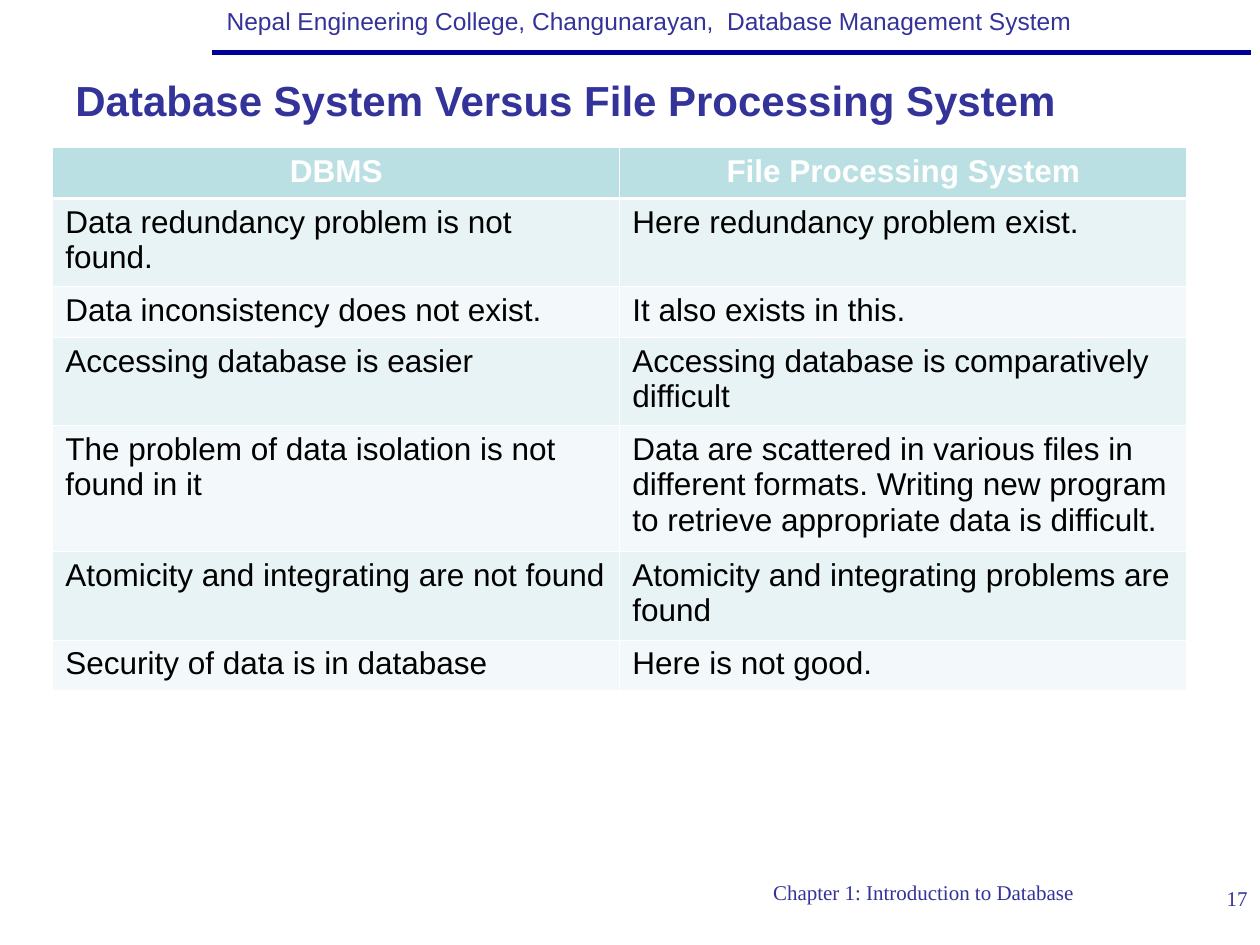
from dataclasses import dataclass

from lxml.etree import SubElement
from pptx import Presentation
from pptx.dml.color import RGBColor
from pptx.enum.text import MSO_ANCHOR, PP_ALIGN
from pptx.oxml.ns import qn
from pptx.util import Pt


@dataclass(frozen=True)
class Theme:
    sans: str = "Arial"
    serif: str = "Times New Roman"
    ink: str = "333399"
    rule: str = "000099"
    white: str = "FFFFFF"
    black: str = "000000"
    head_fill: str = "BBE0E3"
    bands: tuple = ("E7F3F4", "F3F9FA")
    title: int = 24
    body: int = 18
    header: int = 14
    footer: int = 12
    grid: float = 0.45
    head_line: float = 1.47


def write(tf, text, size, color, font, bold=False, align=PP_ALIGN.LEFT):
    p = tf.paragraphs[0]
    p.alignment = align
    r = p.add_run()
    r.text = text
    r.font.name = font
    r.font.size = Pt(size)
    r.font.bold = bold
    r.font.color.rgb = RGBColor.from_string(color)


class Deck:
    def __init__(self, prs, theme):
        self.theme = theme
        self.s = prs.slides.add_slide(prs.slide_layouts[6])

    def text(self, x, y, w, h, text, wrap=True, top=3.6, **fmt):
        tf = self.s.shapes.add_textbox(Pt(x), Pt(y), Pt(w), Pt(h)).text_frame
        tf.word_wrap = wrap
        tf.vertical_anchor = MSO_ANCHOR.TOP
        tf.margin_top = Pt(top)
        write(tf, text, **fmt)

    def line(self, x1, y1, x2, y2, color, width):
        c = self.s.shapes.add_connector(1, Pt(x1), Pt(y1), Pt(x2), Pt(y2))
        c.line.color.rgb = RGBColor.from_string(color)
        c.line.width = Pt(width)
        SubElement(c._element.spPr, qn("a:effectLst"))

    def borders(self, cell, **widths):
        tcPr = cell._tc.get_or_add_tcPr()
        for i, side in enumerate("LRTB"):
            width = widths.get(side, self.theme.grid)
            ln = SubElement(tcPr, qn(f"a:ln{side}"), w=str(Pt(width)))
            fill = SubElement(ln, qn("a:solidFill"))
            SubElement(fill, qn("a:srgbClr"), val=self.theme.white)
            tcPr.remove(ln)
            tcPr.insert(i, ln)

    def table(self, x, y, col_widths, row_heights, rows):
        t = self.theme
        table = self.s.shapes.add_table(
            len(rows), len(col_widths), Pt(x), Pt(y),
            Pt(sum(col_widths)), Pt(sum(row_heights))).table
        for col, width in zip(table.columns, col_widths):
            col.width = Pt(width)
        for i, (row, height, texts) in enumerate(zip(table.rows, row_heights, rows)):
            row.height = Pt(height)
            head = i == 0
            fill = t.head_fill if head else t.bands[(i - 1) % 2]
            heavy = {0: {"B": t.head_line}, 1: {"T": t.head_line}}.get(i, {})
            for cell, text in zip(row.cells, texts):
                cell.fill.solid()
                cell.fill.fore_color.rgb = RGBColor.from_string(fill)
                self.borders(cell, **heavy)
                write(cell.text_frame, text, t.body,
                      t.white if head else t.black, t.sans, bold=head,
                      align=PP_ALIGN.CENTER if head else PP_ALIGN.LEFT)


COMPARISON = [
    ("DBMS", "File Processing System"),
    ("Data redundancy problem is not found.", "Here redundancy problem exist."),
    ("Data inconsistency does not exist.", "It also exists in this."),
    ("Accessing database is easier",
     "Accessing database is comparatively difficult"),
    ("The problem of data isolation is not found in it",
     "Data are scattered in various files in different formats. "
     "Writing new program to retrieve appropriate data is difficult."),
    ("Atomicity and integrating are not found",
     "Atomicity and integrating problems are found"),
    ("Security of data is in database", "Here is not good."),
]


def main():
    prs = Presentation()
    prs.slide_width, prs.slide_height = Pt(720), Pt(540)
    t = Theme()
    deck = Deck(prs, t)

    # Running header and rule
    deck.line(121, 30, 715, 30, t.rule, 3)
    deck.text(122.4, 0, 497.5, 24.5,
              "Nepal Engineering College, Changunarayan,  Database Management System",
              wrap=False, size=t.header, color=t.ink, font=t.sans)

    # Footer and slide number
    deck.text(378, 499, 299.5, 36, "Chapter 1: Introduction to Database",
              wrap=False, size=t.footer, color=t.ink, font=t.serif,
              align=PP_ALIGN.CENTER)
    deck.text(678, 502.5, 42, 36, "17", size=t.footer, color=t.ink,
              font=t.serif, align=PP_ALIGN.RIGHT)

    # Comparison table: row height follows the number of text lines
    heights = {1: 29, 2: 50.4, 3: 72}
    deck.table(30.2, 84.4, [324, 324],
               [heights[n] for n in (1, 2, 1, 2, 3, 2, 1)], COMPARISON)

    # Title
    deck.text(36, 36, 648, 50.4, "Database System Versus File Processing System",
              top=6.5, size=t.title, color=t.ink, font=t.sans, bold=True)

    prs.save("out.pptx")


if __name__ == "__main__":
    main()
